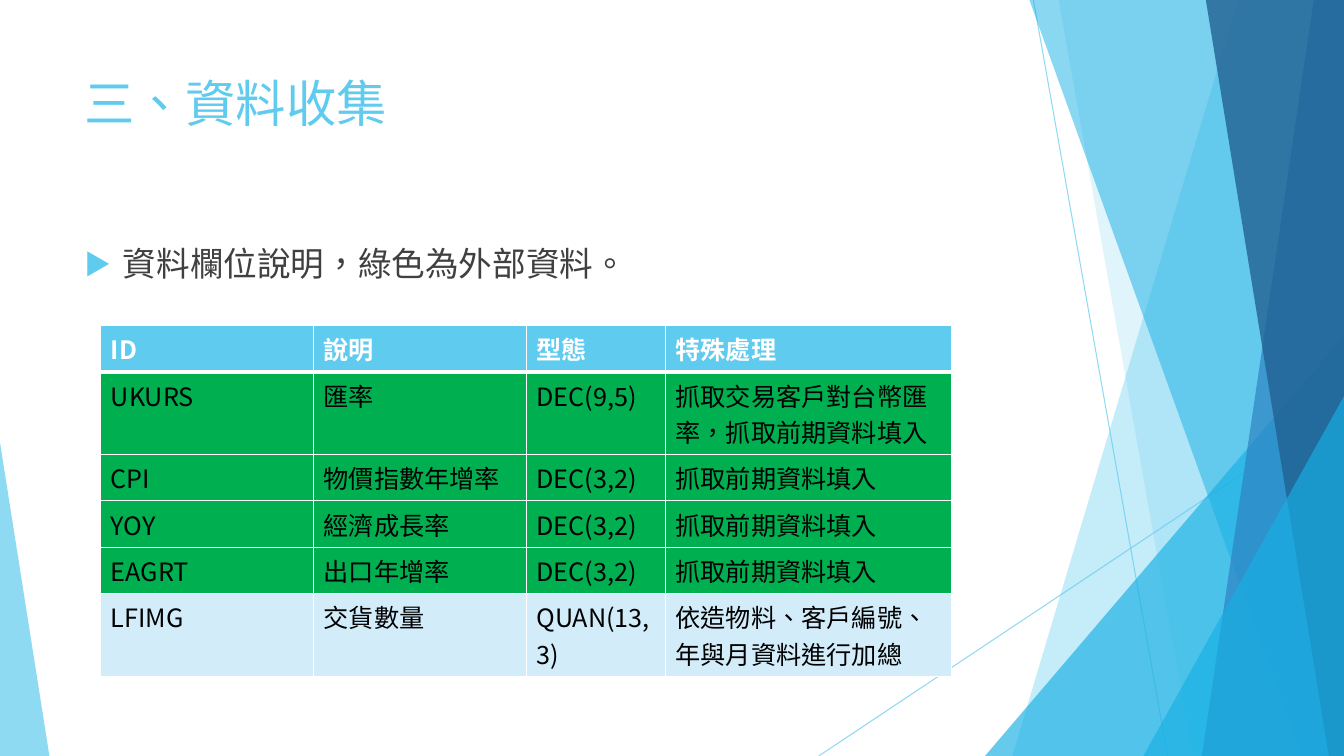
from lxml.etree import SubElement
from pptx import Presentation
from pptx.dml.color import RGBColor
from pptx.enum.shapes import MSO_CONNECTOR, MSO_SHAPE
from pptx.oxml.ns import qn
from pptx.util import Inches, Pt

WIDTH, HEIGHT = 13.33, 7.5
FONT = "Noto Sans CJK SC"
SKY, AZURE, BLUE, NAVY = "5FCBEF", "17B0E4", "2E83C3", "226292"
WHITE, BLACK, GREY, GREEN, PALE = "FFFFFF", "000000", "404040", "00B050", "D2ECF9"

TITLE = "三、資料收集"
INTRO = "資料欄位說明，綠色為外部資料。"
PREVIOUS = "抓取前期資料填入"
FIELDS = [
    ("ID", "說明", "型態", "特殊處理"),
    ("UKURS", "匯率", "DEC(9,5)", "抓取交易客戶對台幣匯率，" + PREVIOUS),
    ("CPI", "物價指數年增率", "DEC(3,2)", PREVIOUS),
    ("YOY", "經濟成長率", "DEC(3,2)", PREVIOUS),
    ("EAGRT", "出口年增率", "DEC(3,2)", PREVIOUS),
    ("LFIMG", "交貨數量", "QUAN(13,3)", "依造物料、客戶編號、年與月資料進行加總"),
]
ROW_FILLS = [SKY] + [GREEN] * 4 + [PALE]
COLUMN_WIDTHS = [2.11, 2.11, 1.38, 2.84]
ONE_LINE, TWO_LINES = 0.46, 0.82
ROW_HEIGHTS = [ONE_LINE, TWO_LINES] + [ONE_LINE] * 3 + [TWO_LINES]

# Thin rays: start x, start y, end x, end y
RAYS = [(10.25, 0, 11.58, HEIGHT), (WIDTH, 4.03, 8.12, HEIGHT)]
# Back to front. Bands reach the right edge: top x, bottom x.
# Peaks stand on the bottom edge: left, width, height, apex share.
FACETS = [
    ("band", (12.28, 10.04), SKY, 36),
    ("band", (10.5, 11.83), SKY, 20),
    ("peak", (9.77, 3.56, 4.17, 1), AZURE, 66),
    ("band", (10.21, 12.91), AZURE, 50),
    ("band", (13.03, 11.92), BLUE, 70),
    ("band", (11.96, 13.18), NAVY, 80),
    ("peak", (11.34, 1.99, 3.57, 1), AZURE, 66),
    ("peak", (0, 0.49, 3.11, 0), SKY, 70),
]


def paint(fmt, color, opacity=100):
    """Give a fill or line fill a solid colour and an opacity in percent."""
    fmt.solid()
    fmt.fore_color.rgb = RGBColor.from_string(color)
    if opacity < 100:
        tone = fmt._xPr.find(qn("a:solidFill"))[0]
        SubElement(tone, qn("a:alpha"), val=str(opacity * 1000))


def style(paragraph, size, color, bold=False, latin=FONT):
    """Format every run of a paragraph."""
    for run in paragraph.runs:
        run.font.size, run.font.bold, run.font.name = Pt(size), bold, latin
        paint(run.font.fill, color)
        props = run.font._element
        props.set("lang", "zh-TW")
        SubElement(props, qn("a:ea"), typeface=FONT)


def add_ray(shapes, x1, y1, x2, y2):
    """Draw a thin half-transparent line."""
    ray = shapes.add_connector(MSO_CONNECTOR.STRAIGHT, *map(Inches, (x1, y1, x2, y2)))
    ray.line.width = Pt(0.75)
    paint(ray.line.fill, SKY, 70)
    SubElement(ray._element.spPr, qn("a:effectLst"))


def add_band(shapes, top, bottom):
    """Outline a full-height band between a slanted side and the right edge."""
    outline = shapes.build_freeform(Inches(top), 0)
    corners = [(WIDTH, 0), (WIDTH, HEIGHT), (bottom, HEIGHT)]
    outline.add_line_segments([(Inches(x), Inches(y)) for x, y in corners])
    return outline.convert_to_shape()


def add_peak(shapes, left, width, height, apex):
    """Stand a triangle on the bottom edge of the slide."""
    box = map(Inches, (left, HEIGHT - height, width, height))
    peak = shapes.add_shape(MSO_SHAPE.ISOSCELES_TRIANGLE, *box)
    peak.adjustments[0] = apex
    return peak


def add_text(shapes, text, top, height):
    """Place a wrapped one-paragraph text box in the text column."""
    frame = shapes.add_textbox(*map(Inches, (0.74, top, 9.4, height))).text_frame
    frame.word_wrap = True
    frame.text = text
    return frame.paragraphs[0]


def add_bullet(paragraph):
    """Hang a small sky-blue arrow bullet before the paragraph."""
    props = paragraph._p.get_or_add_pPr()
    props.set("marL", str(Inches(0.38)))
    props.set("indent", str(-Inches(0.38)))
    SubElement(SubElement(props, qn("a:buClr")), qn("a:srgbClr"), val=SKY)
    SubElement(props, qn("a:buSzPct"), val="80000")
    SubElement(props, qn("a:buFont"), typeface=FONT)
    SubElement(props, qn("a:buChar"), char="▶")


def add_borders(cell, top, bottom):
    """Draw white cell borders; top and bottom are widths in points."""
    props = cell._tc.get_or_add_tcPr()
    for side, width in zip("LRTB", (1, 1, top, bottom)):
        edge = SubElement(props, qn("a:ln" + side), w=str(Pt(width)))
        SubElement(SubElement(edge, qn("a:solidFill")), qn("a:srgbClr"), val=WHITE)


def add_fields(shapes):
    """Build the table of data fields."""
    box = (1, 3.23, sum(COLUMN_WIDTHS), sum(ROW_HEIGHTS))
    table = shapes.add_table(len(FIELDS), len(COLUMN_WIDTHS), *map(Inches, box)).table
    for column, width in zip(table.columns, COLUMN_WIDTHS):
        column.width = Inches(width)
    for r, (row, height) in enumerate(zip(table.rows, ROW_HEIGHTS)):
        row.height = Inches(height)
        header = r == 0
        for cell, text in zip(row.cells, FIELDS[r]):
            cell.text = text
            style(cell.text_frame.paragraphs[0], 18, WHITE if header else BLACK, header)
            add_borders(cell, 3 if r == 1 else 1, 3 if header else 1)
            paint(cell.fill, ROW_FILLS[r])


deck = Presentation()
deck.slide_width, deck.slide_height = Inches(WIDTH), Inches(HEIGHT)
shapes = deck.slides.add_slide(deck.slide_layouts[6]).shapes

for ray in RAYS:
    add_ray(shapes, *ray)
builders = {"band": add_band, "peak": add_peak}
for kind, place, color, opacity in FACETS:
    facet = builders[kind](shapes, *place)
    paint(facet.fill, color, opacity)
    facet.line.fill.background()
    facet.shadow.inherit = False

style(add_text(shapes, TITLE, 0.67, 1.44), 36, SKY, latin="Roboto")
intro = add_text(shapes, INTRO, 2.36, 0.7)
intro.space_before = Pt(10)
add_bullet(intro)
style(intro, 24, GREY)
add_fields(shapes)

deck.save("out.pptx")
